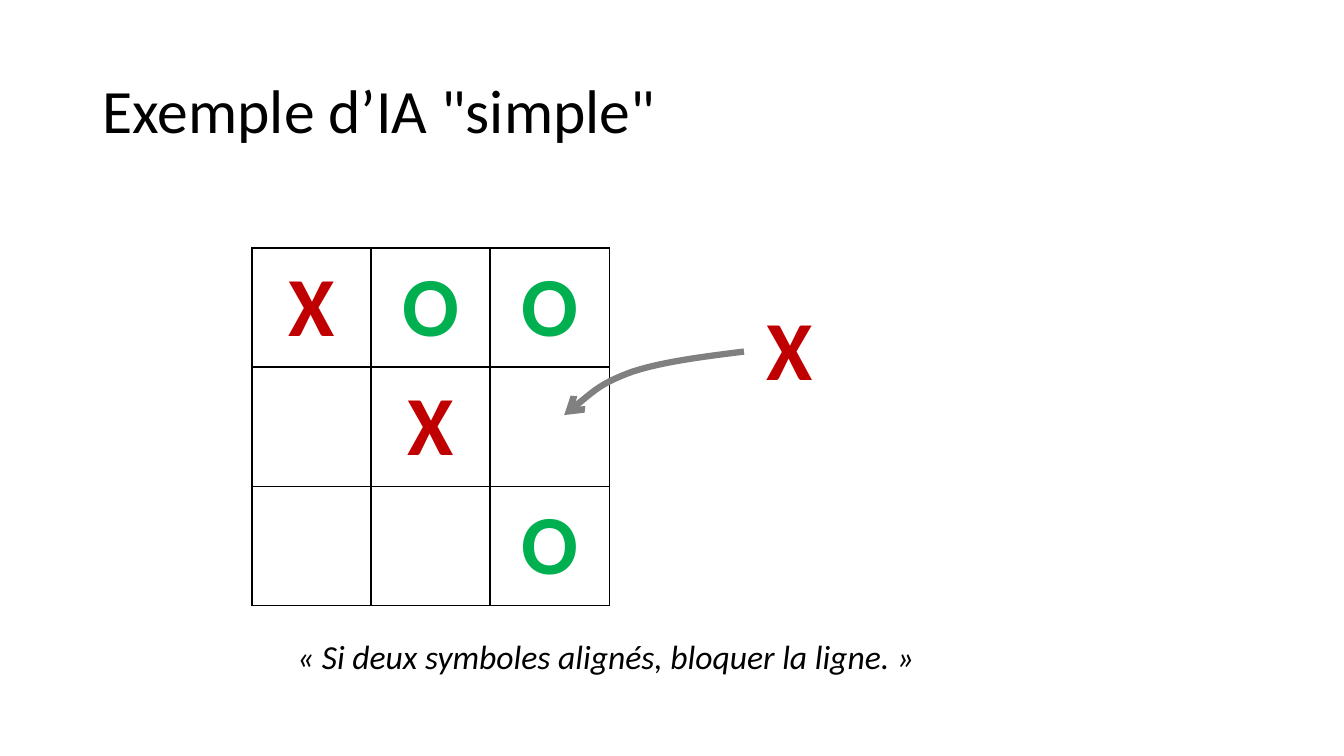
import dataclasses

import lxml.etree
import pptx
import pptx.dml.color
import pptx.enum.text
import pptx.oxml
import pptx.oxml.ns
import pptx.util

Cm = pptx.util.Cm
Pt = pptx.util.Pt
qn = pptx.oxml.ns.qn
ANCHOR = pptx.enum.text.MSO_ANCHOR
ALIGN = pptx.enum.text.PP_ALIGN

COLORS = {"text": "000000", "X": "C00000", "O": "00B050", "arrow": "808080"}
FONT = "Calibri"
BOARD = ("XOO", " X ", "  O")
SIDE = 3.0
# Start point, then two control points and an end point per curve, in cm
CURVE = (
    (18.75, 8.86),
    (17.7, 8.99), (16.69, 9.12), (15.93, 9.37),
    (15.16, 9.65), (14.71, 10.06), (14.22, 10.46),
)


@dataclasses.dataclass
class Label:
    text: str
    left: float
    top: float
    width: float
    height: float
    size: float
    color: str = "text"
    bold: bool = False
    italic: bool = False
    wrap: bool = False
    anchor: ANCHOR = ANCHOR.TOP
    space: float = 1.0


LABELS = (
    Label("Exemple d’IA \"simple\"", 2.34, 1.02, 29.21, 3.68, 44,
          wrap=True, anchor=ANCHOR.MIDDLE, space=0.9),
    Label("X", 19.08, 7.34, 1.68, 2.82, 60, "X", bold=True),
    Label("« Si deux symboles alignés, bloquer la ligne. »",
          7.24, 15.9, 16.23, 1.27, 24, italic=True),
)


def rgb(name: str) -> pptx.dml.color.RGBColor:
    return pptx.dml.color.RGBColor.from_string(COLORS[name])


def style(part, size: float, color: str, bold: bool, italic: bool) -> None:
    """Format every run of a paragraph."""
    for run in part.runs:
        font = run.font
        font.name, font.size = FONT, Pt(size)
        font.bold, font.italic = bold, italic
        font.color.rgb = rgb(color)


def add_label(slide, label: Label) -> None:
    box = slide.shapes.add_textbox(
        Cm(label.left), Cm(label.top), Cm(label.width), Cm(label.height))
    frame = box.text_frame
    frame.word_wrap = label.wrap
    frame.vertical_anchor = label.anchor
    frame.text = label.text
    part = frame.paragraphs[0]
    part.line_spacing = label.space
    style(part, label.size, label.color, label.bold, label.italic)


def add_edges(cell) -> None:
    """Draw a thin line on all four sides of a cell."""
    props = cell._tc.get_or_add_tcPr()
    for index, side in enumerate(("lnL", "lnR", "lnT", "lnB")):
        line = lxml.etree.Element(qn(f"a:{side}"), w=str(Pt(1)))
        fill = lxml.etree.SubElement(line, qn("a:solidFill"))
        lxml.etree.SubElement(fill, qn("a:srgbClr"), val=COLORS["text"])
        props.insert(index, line)


def add_board(slide) -> None:
    count = len(BOARD)
    size = Cm(SIDE * count)
    table = slide.shapes.add_table(
        count, count, Cm(6.35), Cm(6.25), size, size).table
    table.first_row = table.horz_banding = False
    for line in (*table.rows, *table.columns):
        if hasattr(line, "height"):
            line.height = Cm(SIDE)
        else:
            line.width = Cm(SIDE)
    for row, marks in enumerate(BOARD):
        for col, mark in enumerate(marks):
            cell = table.cell(row, col)
            cell.fill.background()
            cell.vertical_anchor = ANCHOR.MIDDLE
            add_edges(cell)
            if mark.strip():
                cell.text_frame.text = mark
                part = cell.text_frame.paragraphs[0]
                part.alignment = ALIGN.CENTER
                style(part, 60, mark, True, False)


def add_arrow(slide) -> None:
    start, *rest = [(Cm(x), Cm(y)) for x, y in CURVE]
    maker = slide.shapes.build_freeform(*start)
    maker.add_line_segments(rest, close=False)
    arrow = maker.convert_to_shape()
    arrow.shadow.inherit = False
    arrow.fill.background()
    arrow.line.color.rgb = rgb("arrow")
    arrow.line.width = Pt(4.5)
    lxml.etree.SubElement(
        arrow.line._get_or_add_ln(), qn("a:tailEnd"), type="arrow")
    # Turn each three straight segments into one Bézier curve
    steps = list(arrow._element.iter(qn("a:lnTo")))
    for first in range(0, len(steps), 3):
        trio = steps[first:first + 3]
        bend = lxml.etree.Element(qn("a:cubicBezTo"))
        trio[0].addprevious(bend)
        for step in trio:
            bend.append(step[0])
            step.getparent().remove(step)


def main() -> None:
    deck = pptx.Presentation()
    deck.slide_width, deck.slide_height = Cm(33.87), Cm(19.05)
    slide = deck.slides.add_slide(deck.slide_layouts[6])
    title, *others = LABELS
    add_label(slide, title)
    add_board(slide)
    add_arrow(slide)
    for label in others:
        add_label(slide, label)
    deck.save("out.pptx")


if __name__ == "__main__":
    main()
